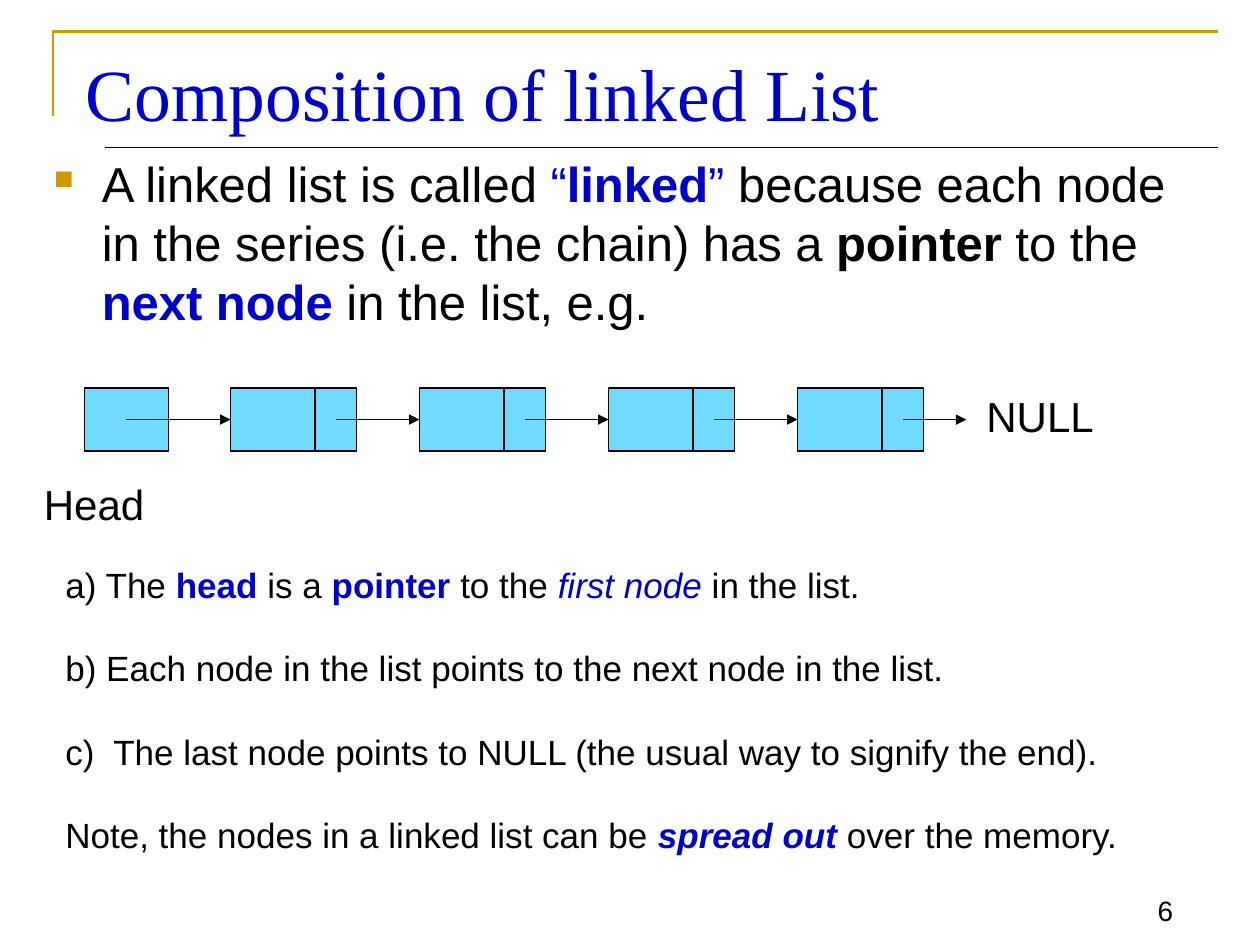
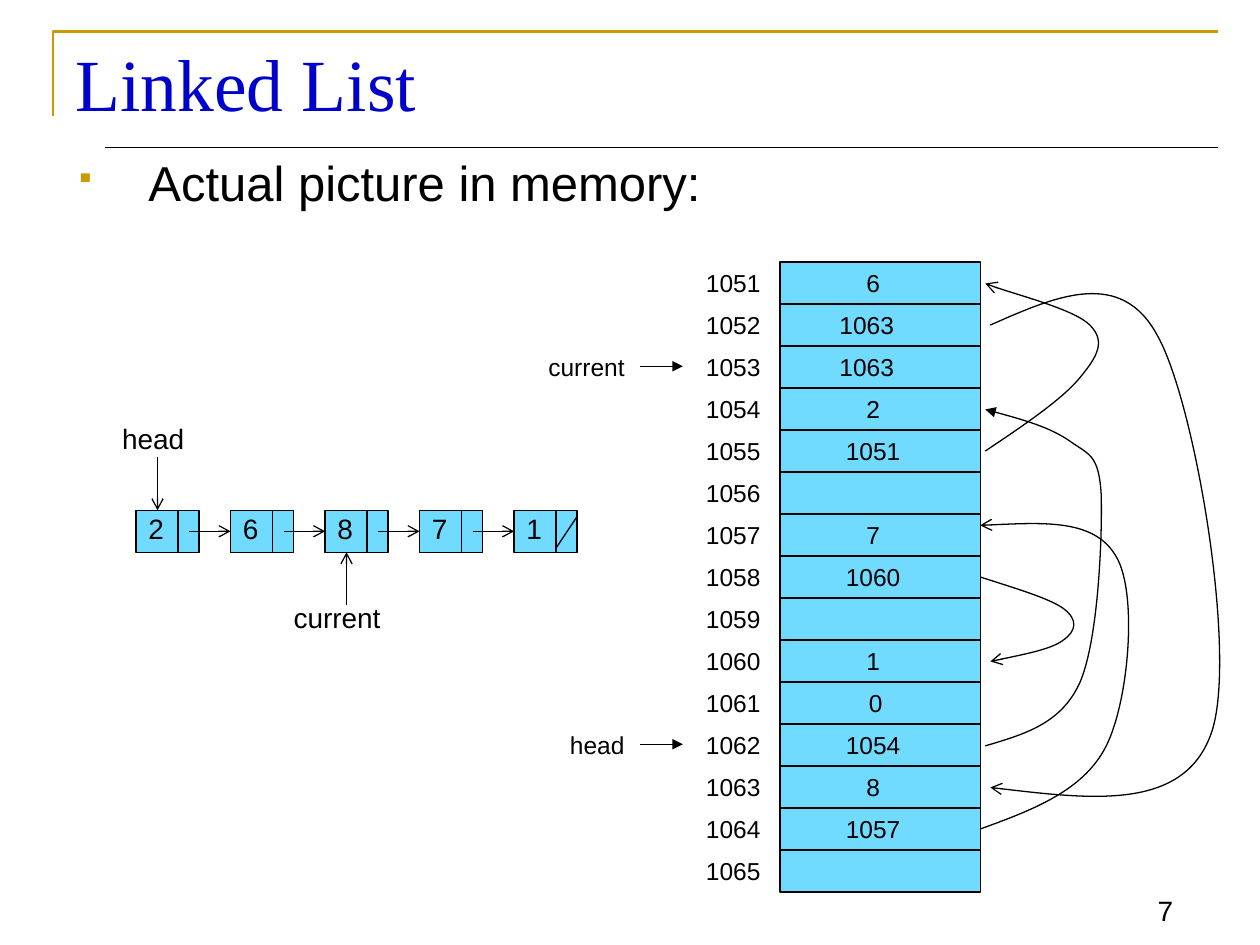
"""Builds two slides on linked lists: their composition and their memory layout."""
import pptx
import pptx.dml.color
import pptx.enum.shapes
import pptx.enum.text
import pptx.oxml
import pptx.oxml.ns
import pptx.util

Inches = pptx.util.Inches
Pt = pptx.util.Pt
RGBColor = pptx.dml.color.RGBColor
Align = pptx.enum.text.PP_ALIGN
Anchor = pptx.enum.text.MSO_ANCHOR
qn = pptx.oxml.ns.qn

BLACK = RGBColor(0x00, 0x00, 0x00)
BLUE = RGBColor(0x00, 0x00, 0xCC)
GOLD = RGBColor(0xCC, 0x99, 0x00)
SKY = RGBColor(0x71, 0xDA, 0xFF)
ROW = 1 / 3

INTRO = [("A linked list is called ", ""), ("“", "c"), ("linked", "cb"), ("” ", "c"),
         ("because each node in the series (i.e. the chain) has a ", ""),
         ("pointer", "b"), (" to the ", ""), ("next node ", "cb"),
         ("in the list, e.g.", "")]
NOTES = [
    [("a) The ", ""), ("head ", "cb"), ("is a ", ""), ("pointer ", "cb"),
     ("to the ", ""), ("first node", "ci"), (" in the list.", "")],
    [("b) Each node in the list points to the next node in the list.", "")],
    [("c)  The last node points to NULL (the usual way to signify the end).", "")],
    [("Note, the nodes in a linked list can be ", ""), ("spread out ", "cbi"),
     ("over the memory.", "")],
]
CELLS = ["6", "1063", "1063", "2", "1051", "", "7", "1060", "", "1", "0", "1054",
         "8", "1057", ""]
SHIFTS = {"1063": -0.05, "0": 0.02}
LINKS = [
    ("arrow", [(0.04, 1.5), (0.34, 1.3), (0.65, 1.09), (0.79, 0.92), (0.93, 0.75),
               (1, 0.63), (0.87, 0.5), (0.75, 0.38), (0.18, 0.23), (0.04, 0.17)]),
    ("arrow", [(0.08, 0.5), (0.6, 0.27), (1.12, 0.04), (1.41, 0.59), (1.71, 1.13),
               (2.05, 3.16), (1.83, 3.75), (1.61, 4.35), (0.84, 4.26), (0.08, 4.17)]),
    ("arrow", [(0, 4.5), (0.41, 4.35), (0.82, 4.2), (1, 3.84), (1.18, 3.48),
               (1.25, 2.63), (1.08, 2.34), (0.91, 2.04), (0.46, 2.07), (0, 2.09)]),
    ("arrow", [(0, 2.5), (0.28, 2.59), (0.55, 2.67), (0.66, 2.75), (0.78, 2.84),
               (0.76, 2.93), (0.66, 3), (0.57, 3.07), (0.32, 3.12), (0.08, 3.17)]),
    ("triangle", [(0.04, 3.84), (0.34, 3.75), (0.64, 3.67), (0.79, 3.34), (0.94, 3),
                  (0.97, 2.16), (0.96, 1.84), (0.94, 1.52), (0.86, 1.53),
                  (0.71, 1.42), (0.55, 1.31), (0.3, 1.24), (0.04, 1.17)]),
]


def place(shape, left, top, width, height):
    """Move and size a shape in inches."""
    shape.left, shape.top = Inches(left), Inches(top)
    shape.width, shape.height = Inches(width), Inches(height)


def stroke(shape, tip=None, color=BLACK, weight=0.75):
    """Style a line, with an arrowhead at its end if asked."""
    shape.line.color.rgb = color
    shape.line.width = Pt(weight)
    if tip:
        tail = pptx.oxml.parse_xml(
            f'<a:tailEnd {pptx.oxml.ns.nsdecls("a")} type="{tip}"/>')
        shape.line._get_or_add_ln().append(tail)


def wire(slide, start, end, tip=None):
    """Draw a straight line between two points."""
    kind = pptx.enum.shapes.MSO_CONNECTOR.STRAIGHT
    line = slide.shapes.add_connector(kind, *map(Inches, start + end))
    stroke(line, tip)
    props = line._element.spPr
    props.append(props.makeelement(qn("a:effectLst"), {}))


def outline(slide, points):
    """Draw an open, unfilled outline through points."""
    start, *rest = [(Inches(x), Inches(y)) for x, y in points]
    maker = slide.shapes.build_freeform(*start)
    maker.add_line_segments(rest, close=False)
    shape = maker.convert_to_shape()
    shape.fill.background()
    shape.shadow.inherit = False
    return shape


def curve(slide, points, tip):
    """Draw a chain of cubic curves ending in an arrowhead."""
    shape = outline(slide, points)
    steps = list(shape._element.iter(qn("a:lnTo")))
    for first in range(0, len(steps), 3):
        lead, *others = steps[first:first + 3]
        bend = lead.makeelement(qn("a:cubicBezTo"), {})
        lead.addprevious(bend)
        for step in [lead, *others]:
            bend.append(step[0])
            step.getparent().remove(step)
    stroke(shape, tip)


def block(slide, left, top, width, height):
    """Draw a sky blue box."""
    kind = pptx.enum.shapes.MSO_SHAPE.RECTANGLE
    shape = slide.shapes.add_shape(kind, *map(Inches, (left, top, width, height)))
    shape.shadow.inherit = False
    shape.fill.solid()
    shape.fill.fore_color.rgb = SKY
    stroke(shape)


def write(para, runs, size, font="Arial"):
    """Add runs whose marks mean c for blue, b for bold, i for italic."""
    for text, marks in runs:
        run = para.add_run()
        run.text = text
        run.font.name, run.font.size = font, Pt(size)
        run.font.color.rgb = BLUE if "c" in marks else BLACK
        run.font.bold, run.font.italic = "b" in marks, "i" in marks


def label(slide, box, text, size, align=Align.CENTER):
    """Add a one-line text box."""
    frame = slide.shapes.add_textbox(*map(Inches, box)).text_frame
    frame.word_wrap = False
    frame.paragraphs[0].alignment = align
    write(frame.paragraphs[0], [(text, "")], size)
    return frame


def bullet(slide, box, runs, sign, indent):
    """Add a body paragraph with a gold bullet."""
    frame = slide.shapes.add_textbox(*map(Inches, box)).text_frame
    frame.word_wrap = True
    para = frame.paragraphs[0]
    para.space_before = Pt(5.6)
    write(para, runs, 28)
    props = para._p.get_or_add_pPr()
    props.set("marL", str(Inches(indent)))
    props.set("indent", str(-Inches(indent)))
    for tag, value in (("buSzPct", "55000"), ("buChar", sign)):
        key = "char" if tag == "buChar" else "val"
        props.append(props.makeelement(qn("a:" + tag), {key: value}))
    tint = pptx.oxml.parse_xml(f'<a:buClr {pptx.oxml.ns.nsdecls("a")}>'
                               f'<a:srgbClr val="{GOLD}"/></a:buClr>')
    props.find(qn("a:buSzPct")).addprevious(tint)
    return para


def base(deck, title, box, page):
    """Add a slide with its frame, title and page number."""
    slide = deck.slides.add_slide(deck.slide_layouts[5])
    stroke(outline(slide, [(0.42, 0.92), (0.42, 0.25), (9.67, 0.25)]),
           color=GOLD, weight=1.5)
    wire(slide, (0.83, 1.17), (9.67, 1.17))
    number = label(slide, (8.75, 6.92, 0.66, 0.49), page, 16, Align.RIGHT)
    number.word_wrap = True
    number.vertical_anchor = Anchor.BOTTOM
    place(slide.shapes.title, *box)
    frame = slide.shapes.title.text_frame
    frame.vertical_anchor = Anchor.TOP
    frame.auto_size = pptx.enum.text.MSO_AUTO_SIZE.NONE
    frame.paragraphs[0].alignment = Align.LEFT
    write(frame.paragraphs[0], [(title, "c")], 42, "Times New Roman")
    return slide


def chain(slide, left, top):
    """Draw the head box, four nodes and the arrows to NULL."""
    mid = top + 0.25
    block(slide, left, top, 0.67, 0.5)
    label(slide, (left - 0.42, top + 0.67, 1.01, 0.5), "Head", 24, Align.LEFT)
    nodes = [left + 1.16 + 1.5 * step for step in range(4)]
    for node in nodes:
        block(slide, node, top, 1, 0.5)
        wire(slide, (node + 0.67, top), (node + 0.67, top + 0.5))
    tails = [left + 0.33] + [node + 0.84 for node in nodes]
    for tail, tip in zip(tails, nodes + [left + 7]):
        wire(slide, (tail, mid), (tip, mid), "triangle")
    label(slide, (left + 7.06, top - 0.03, 1.09, 0.5), "NULL", 24, Align.LEFT)


def notes(slide, box):
    """Write the remarks below the chain."""
    frame = slide.shapes.add_textbox(*map(Inches, box)).text_frame
    frame.word_wrap = True
    for index, runs in enumerate(NOTES):
        para = frame.add_paragraph() if index else frame.paragraphs[0]
        para.space_before = Pt(23.7 if index else 0)
        write(para, runs, 20)


def sketch(slide, left, top):
    """Draw the five-node list with its head and current pointers."""
    mid, low = top + ROW / 2, top + ROW
    for index, value in enumerate("26871"):
        node = left + 0.75 * index
        split = node + ROW
        block(slide, node, top, 0.5, ROW)
        wire(slide, (split, top), (split, low))
        label(slide, (node, top - 0.04, 0.33, 0.37), value, 16, Align.LEFT)
        if index < 4:
            wire(slide, (node + 0.42, mid), (node + 0.75, mid), "arrow")
        else:
            wire(slide, (node + 0.5, top + 0.05), (split, top + 0.3))
    label(slide, (left - 0.21, top - 0.75, 0.69, 0.37), "head", 16)
    wire(slide, (left + 0.17, top - 0.42), (left + 0.17, top), "arrow")
    label(slide, (left + 1.15, top + 0.67, 0.89, 0.37), "current", 16)
    wire(slide, (left + 1.67, top + 0.75), (left + 1.67, low), "arrow")


def memory(slide, left, top, width):
    """Draw the memory column with addresses, values and links."""
    block(slide, left, top, width, ROW * len(CELLS))
    for index, value in enumerate(CELLS):
        high = top + ROW * index
        if index:
            wire(slide, (left, high), (left + width, high))
        label(slide, (left - 0.77, high, 0.8, ROW), str(1051 + index), 14)
        if value:
            shift = SHIFTS.get(value, 0)
            label(slide, (left + 0.34 + shift, high, 0.8, ROW), value, 14)
    for name, index, size in (("current", 2, 0.81), ("head", 11, 0.64)):
        high = top + ROW * index
        label(slide, (left - 1.13 - size, high, size, 0.34), name, 14)
        wire(slide, (left - 1.11, high + 0.16), (left - 0.77, high + 0.16), "triangle")
    for tip, points in LINKS:
        curve(slide, [(left + width + x, top + y) for x, y in points], tip)


def main():
    """Build and save both slides."""
    deck = pptx.Presentation()
    deck.slide_width, deck.slide_height = Inches(10), Inches(7.5)
    first = base(deck, "Composition of linked List", (0.58, 0.33, 9.08, 0.75), "6")
    bullet(first, (0.33, 1.17, 9.33, 1.5), INTRO, "■", 0.38)
    chain(first, 0.67, 3.08)
    notes(first, (0.42, 4.42, 9.08, 2.46))
    second = base(deck, "Linked List", (0.5, 0.25, 9, 0.83), "7")
    para = bullet(second, (0.5, 1.25, 7.75, 0.67),
                  [("Actual picture in memory:", "")], "▪", 0.58)
    para.line_spacing = 0.8
    sketch(second, 1.08, 4.05)
    memory(second, 6.19, 2.08, 1.59)
    deck.save("out.pptx")


if __name__ == "__main__":
    main()
